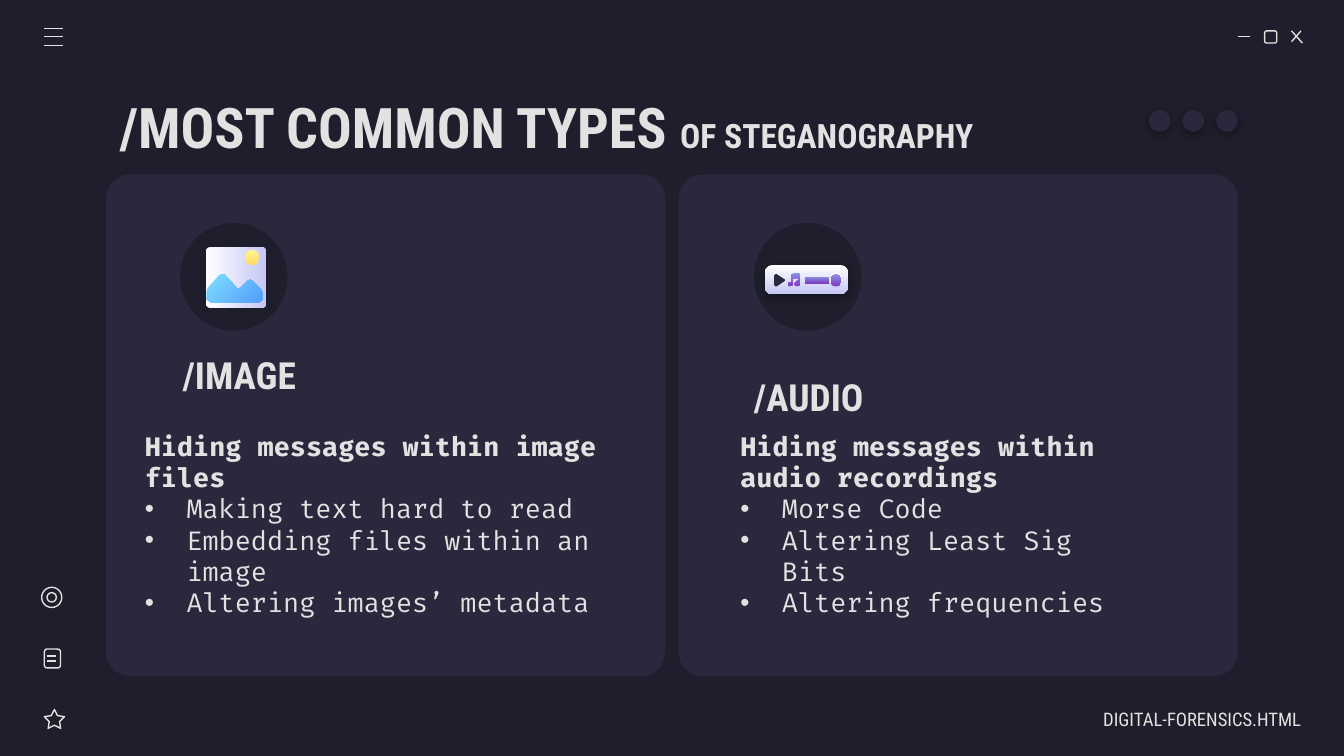
from pptx import Presentation
from pptx import util as u
from pptx.dml.color import RGBColor
from pptx.enum import shapes, text
from pptx.oxml import parse_xml
from pptx.oxml.ns import nsdecls
from lxml import etree

INK = RGBColor(0x1E, 0x1E, 0x2C)
PANEL = RGBColor(0x29, 0x28, 0x3D)
LIGHT = RGBColor(0xE2, 0xE2, 0xE2)
BLACK = RGBColor(0, 0, 0)
PALE = (RGBColor(0xFF, 0xFF, 0xFF), RGBColor(0xC5, 0xC7, 0xF4))
SKY = (RGBColor(0x80, 0xDF, 0xFF), RGBColor(0x54, 0x9E, 0xFB))
SUN = (RGBColor(0xFF, 0xF6, 0x8E), RGBColor(0xFF, 0xD9, 0x66))
VIOLET = (RGBColor(0x8D, 0x90, 0xE1), RGBColor(0x7E, 0x3B, 0xBE))
HEAD_FONT = "Roboto Condensed"
BODY_FONT = "Fira Code"
KIND = shapes.MSO_SHAPE


def write(box, lines, size=14, font=HEAD_FONT, bold=True, align=text.PP_ALIGN.LEFT, left=0.1, right=0.1):
    frame = box.text_frame
    frame.word_wrap = True
    frame.auto_size = text.MSO_AUTO_SIZE.NONE
    frame.vertical_anchor = text.MSO_ANCHOR.MIDDLE
    frame.margin_left, frame.margin_right = u.Inches(left), u.Inches(right)
    frame.margin_top = frame.margin_bottom = u.Inches(0.1)
    for index, line in enumerate(lines):
        paragraph = frame.paragraphs[0] if index == 0 else frame.add_paragraph()
        paragraph.alignment = align
        if index:
            properties = paragraph._p.get_or_add_pPr()
            properties.set("marL", str(u.Inches(0.31)))
            properties.set("indent", str(u.Inches(-0.31)))
            properties.append(parse_xml(f'<a:buClr {nsdecls("a")}><a:srgbClr val="{LIGHT}"/></a:buClr>'))
            properties.append(parse_xml(f'<a:buFont {nsdecls("a")} typeface="Arial"/>'))
            properties.append(parse_xml(f'<a:buChar {nsdecls("a")} char="•"/>'))
        for run_text, run_size in line if isinstance(line, list) else [(line, size)]:
            run = paragraph.add_run()
            run.text = run_text
            run.font.size = u.Pt(run_size)
            run.font.name = font
            run.font.bold = bold and index == 0
            run.font.color.rgb = LIGHT


def paint(shape, fill=None, angle=270, shadow=None):
    shape.shadow.inherit = False
    if fill is None:
        shape.fill.background()
        shape.line.color.rgb = LIGHT
        shape.line.width = u.Pt(0.75)
        return
    shape.line.fill.background()
    if isinstance(fill, RGBColor):
        shape.fill.solid()
        shape.fill.fore_color.rgb = fill
    else:
        shape.fill.gradient()
        shape.fill.gradient_angle = angle
        for stop, color in zip(shape.fill.gradient_stops, fill):
            stop.color.rgb = color
    if shadow is not None:
        effects = shape._element.spPr.find("{*}effectLst")
        effects.append(parse_xml(
            f'<a:outerShdw {nsdecls("a")} blurRad="{u.Pt(4.5)}" dist="{u.Pt(1.5)}" dir="5400000" '
            f'algn="bl" rotWithShape="0"><a:srgbClr val="{shadow}"><a:alpha val="30000"/>'
            '</a:srgbClr></a:outerShdw>'))


deck = Presentation()
deck.slide_width = u.Inches(10)
deck.slide_height = u.Inches(10) * 9 // 16
slide = deck.slides.add_slide(deck.slide_layouts[5])
slide.background.fill.solid()
slide.background.fill.fore_color.rgb = INK
parts = slide.shapes

title = parts.title
title.left, title.top, title.width, title.height = map(u.Inches, (0.79, 0.62, 8.43, 0.63))
write(title, [[("/MOST COMMON TYPES ", 30), ("OF STEGANOGRAPHY", 18)]])

cards = [
    (0.79, 1.34, "/IMAGE", (1.26, 2.53, 3.22, 0.51), 0.1, (0.98, 3.2, 3.76, 1.4),
     ["Hiding messages within image files", "Making text hard to read",
      "Embedding files within an image", "Altering images’ metadata"]),
    (5.05, 5.61, "/AUDIO", (5.61, 2.8, 3.22, 0.3), 0, (5.41, 3.2, 3.22, 1.4),
     ["Hiding messages within audio recordings", "Morse Code",
      "Altering Least Sig Bits", "Altering frequencies"]),
]
for card_left, disc_left, heading, heading_place, inset, body_place, body in cards:
    card = parts.add_shape(KIND.ROUNDED_RECTANGLE, *map(u.Inches, (card_left, 1.3, 4.16, 3.73)))
    card.adjustments[0] = 0.047
    paint(card, PANEL)
    disc = parts.add_shape(KIND.OVAL, *map(u.Inches, (disc_left, 1.66, 0.8, 0.8)))
    paint(disc, INK)
    write(parts.add_textbox(*map(u.Inches, heading_place)), [heading], size=20, left=inset)
    write(parts.add_textbox(*map(u.Inches, body_place)), body, font=BODY_FONT)

footer = parts.add_textbox(*map(u.Inches, (7.84, 5.2, 1.84, 0.3)))
write(footer, ["DIGITAL-FORENSICS.HTML"], size=10, bold=False, align=text.PP_ALIGN.RIGHT, right=0)

for dot_left in (8.55, 8.8, 9.05):
    dot = parts.add_shape(KIND.OVAL, *map(u.Inches, (dot_left, 0.82, 0.16, 0.16)))
    paint(dot, PANEL, shadow=BLACK)

outlined_icons = [
    (KIND.ROUNDED_RECTANGLE, 9.41, 0.23, 0.09, 0.09),
    (KIND.OVAL, 0.31, 4.37, 0.15, 0.15),
    (KIND.OVAL, 0.35, 4.41, 0.07, 0.07),
    (KIND.ROUNDED_RECTANGLE, 0.33, 4.83, 0.12, 0.14),
    (KIND.STAR_5_POINT, 0.33, 5.28, 0.15, 0.14),
]
for kind, *place in outlined_icons:
    icon = parts.add_shape(kind, *map(u.Inches, place))
    if kind == KIND.STAR_5_POINT:
        icon.adjustments[0] = 0.254
    paint(icon)

menu_bars = [(0.33, y, 0.47, y) for y in (0.21, 0.27, 0.34)]
page_lines = [(0.35, y, 0.42, y) for y in (4.88, 4.92)]
window_strokes = [(9.21, 0.27, 9.3, 0.27), (9.61, 0.23, 9.69, 0.32), (9.68, 0.23, 9.61, 0.31)]
for ends in menu_bars + page_lines + window_strokes:
    stroke = parts.add_connector(shapes.MSO_CONNECTOR.STRAIGHT, *map(u.Inches, ends))
    stroke.line.color.rgb = LIGHT
    stroke.line.width = u.Pt(0.75)
    etree.SubElement(stroke._element.spPr, "{http://schemas.openxmlformats.org/drawingml/2006/main}effectLst")

media_pieces = [
    (KIND.ROUNDED_RECTANGLE, (1.53, 1.84, 0.45, 0.45), 0.07, PALE, 0, INK),
    (KIND.OVAL, (1.82, 1.86, 0.11, 0.11), None, SUN, 270, None),
    (KIND.ROUNDED_RECTANGLE, (5.69, 1.97, 0.62, 0.22), 0.28, PALE, 270, BLACK),
    (KIND.ROUNDED_RECTANGLE, (5.99, 2.06, 0.25, 0.05), 0.2, VIOLET, 270, None),
    (KIND.OVAL, (6.17, 2.03, 0.1, 0.11), None, PALE, 270, None),
    (KIND.OVAL, (6.18, 2.04, 0.08, 0.09), None, VIOLET, 270, None),
]
for kind, place, rounding, fill, angle, shadow in media_pieces:
    piece = parts.add_shape(kind, *map(u.Inches, place))
    if rounding:
        piece.adjustments[0] = rounding
    paint(piece, fill, angle, shadow)

mountains = [(165, 204), (163, 205), (155, 214), (154, 216), (154, 223), (157, 225), (193, 225),
             (195, 223), (195, 217), (194, 215), (188, 209), (186, 208), (184, 209), (179, 214),
             (177, 215), (176, 214), (167, 204)]
play = [(577, 204), (576, 205), (576, 212), (577, 213), (578, 213), (584, 209), (584, 208), (578, 204)]
note = [(594, 203), (589, 204), (589, 210), (588, 210), (586, 211), (586, 212), (587, 213), (588, 213),
        (590, 212), (590, 207), (594, 207), (594, 209), (593, 209), (591, 211), (592, 213),
        (593, 213), (595, 212), (595, 204)]
for points, fill, angle in ((mountains, SKY, 315), (play, PANEL, 0), (note, VIOLET, 270)):
    outline = parts.build_freeform(*points[0], scale=u.Inches(0.01))
    outline.add_line_segments(points[1:])
    paint(outline.convert_to_shape(), fill, angle)

deck.save("out.pptx")
